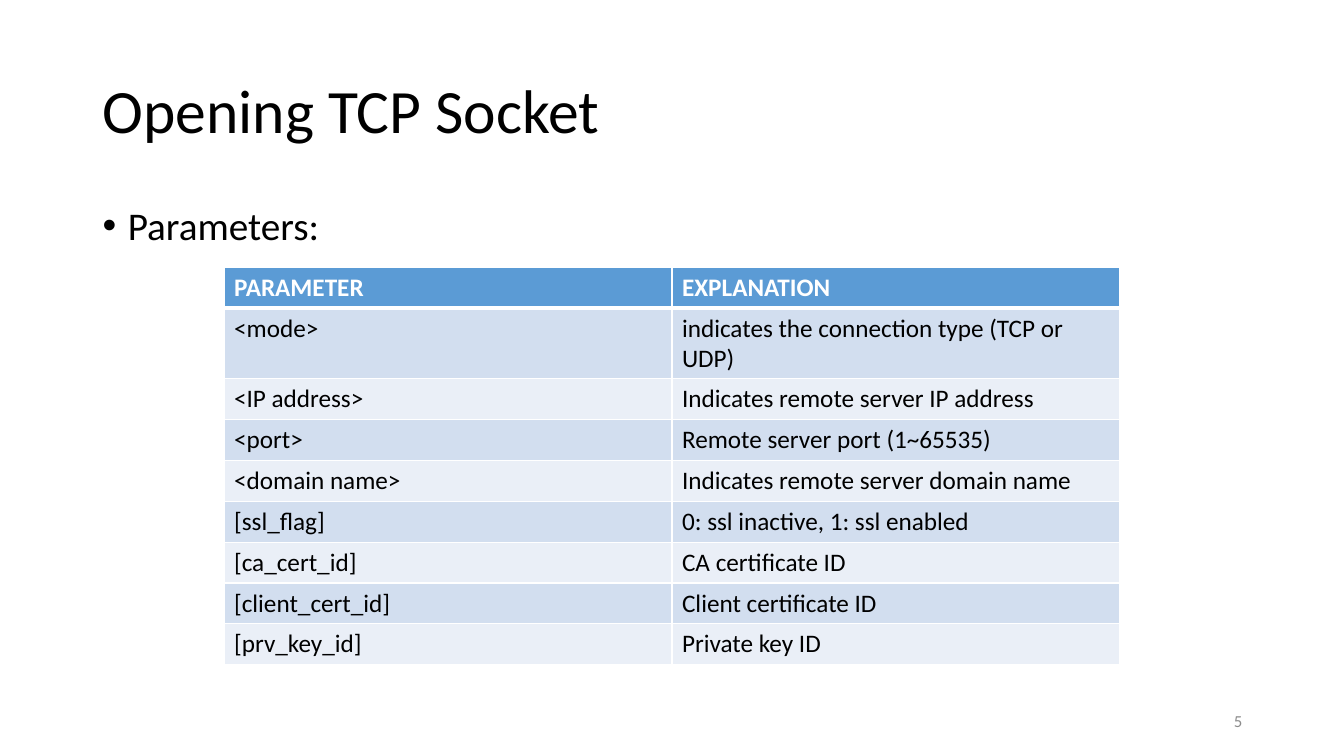
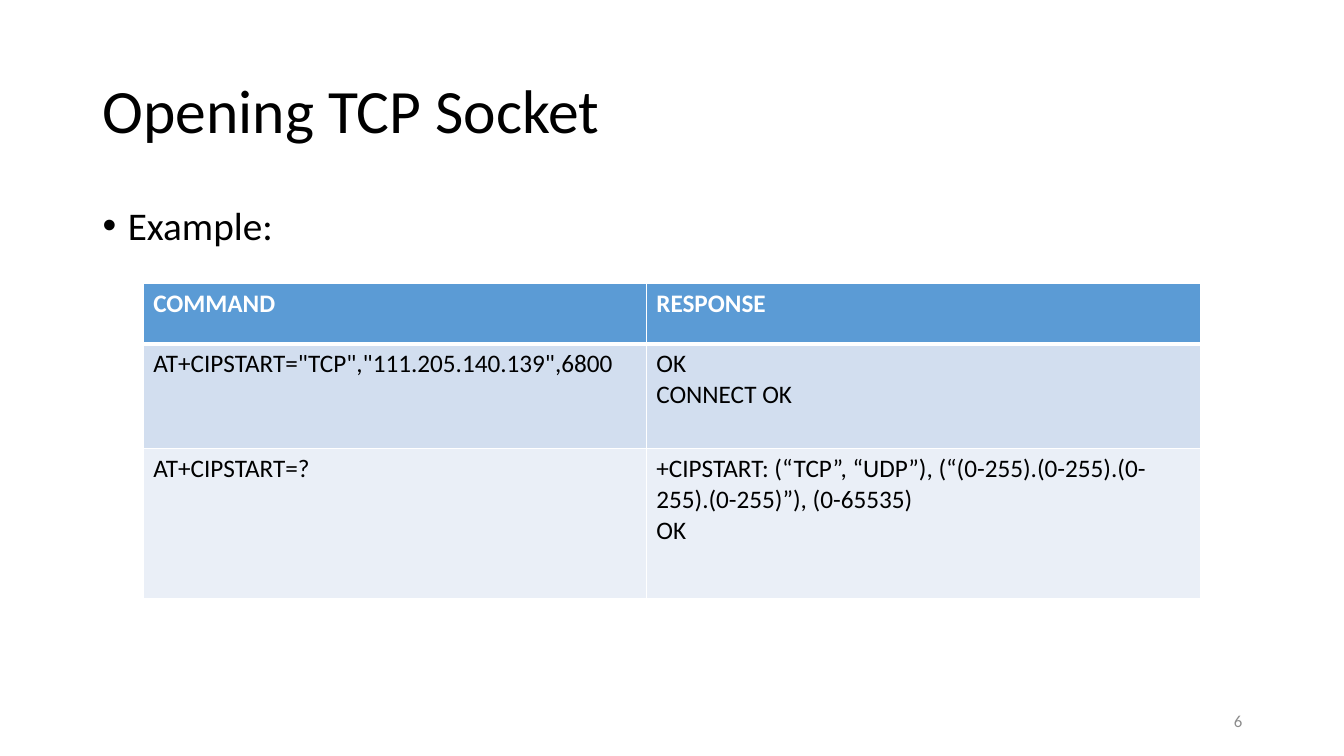
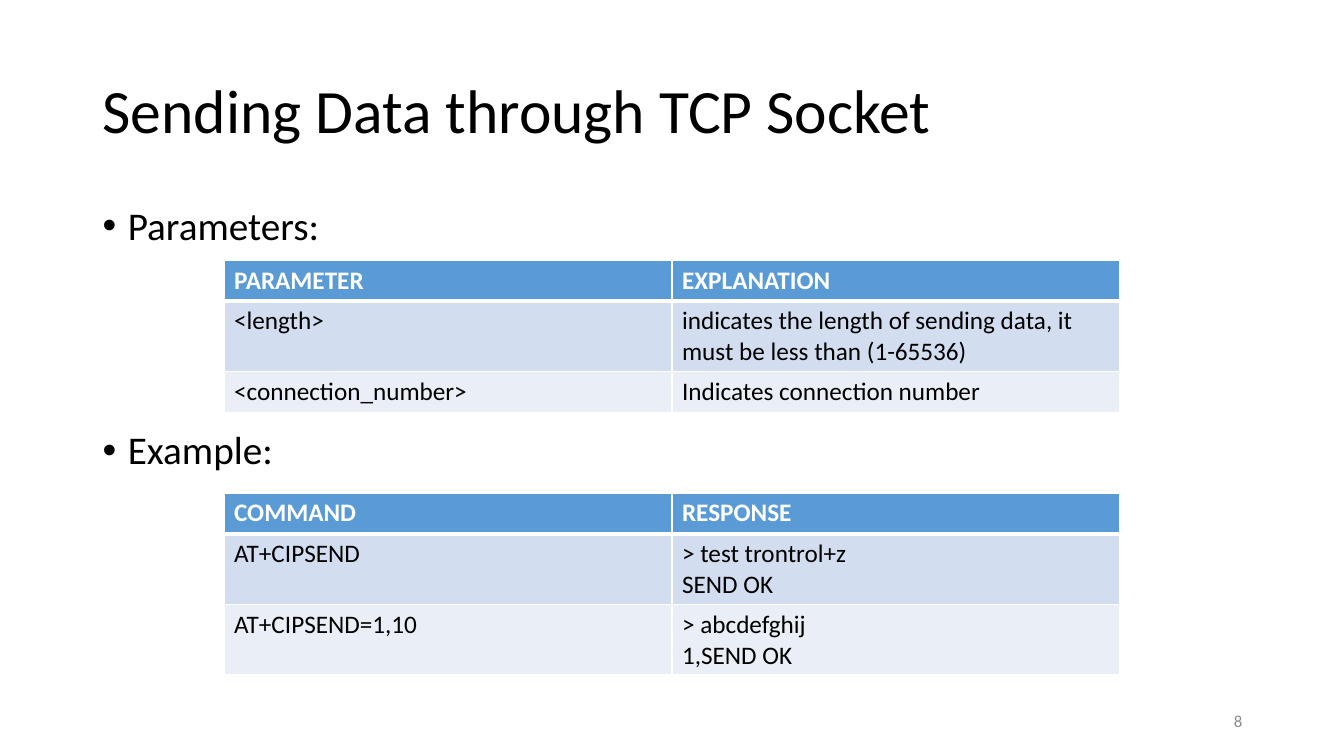
from lxml import etree
from pptx import Presentation
from pptx.dml.color import RGBColor
from pptx.enum.text import MSO_ANCHOR, PP_ALIGN
from pptx.oxml.ns import qn
from pptx.util import Inches, Pt

MIDDLE, TOP = MSO_ANCHOR.MIDDLE, MSO_ANCHOR.TOP
LEFT, RIGHT = PP_ALIGN.LEFT, PP_ALIGN.RIGHT

SLIDE_W, SLIDE_H = 13.33, 7.5
MARGIN = 0.92
CONTENT_W = 11.5
TABLE_LEFT, TABLE_W = SLIDE_W / 6, SLIDE_W * 2 / 3
HALVES = (TABLE_W / 2, TABLE_W / 2)
ONE_LINE, TWO_LINES = 29.2 / 72, 0.7  # row heights

COLORS = {
    "text": "000000",
    "number": "8C8C8C",
    "header": "5B9BD5",
    "band_dark": "D2DEEF",
    "band_light": "EAEFF7",
    "white": "FFFFFF",
}

FONTS = {
    "title": {"size": Pt(44), "bold": False, "color": "text"},
    "bullet": {"size": Pt(28), "bold": False, "color": "text"},
    "number": {"size": Pt(12), "bold": False, "color": "number"},
    "header": {"size": Pt(18), "bold": True, "color": "white"},
    "cell": {"size": Pt(18), "bold": False, "color": "text"},
}

PARAMETER_HEADS = ("PARAMETER", "EXPLANATION")
EXAMPLE_HEADS = ("COMMAND", "RESPONSE")

OPEN_PARAMETERS = [
    PARAMETER_HEADS,
    ("<mode>", "indicates the connection type (TCP or UDP)"),
    ("<IP address>", "Indicates remote server IP address"),
    ("<port>", "Remote server port (1~65535)"),
    ("<domain name>", "Indicates remote server domain name"),
    ("[ssl_flag]", "0: ssl inactive, 1: ssl enabled"),
    ("[ca_cert_id]", "CA certificate ID"),
    ("[client_cert_id]", "Client certificate ID"),
    ("[prv_key_id]", "Private key ID"),
]
OPEN_EXAMPLES = [
    EXAMPLE_HEADS,
    ('AT+CIPSTART="TCP","111.205.140.139",6800', "OK\nCONNECT OK"),
    ("AT+CIPSTART=?",
     "+CIPSTART: (“TCP”, “UDP”), (“(0-255).(0-255).(0-255).(0-255)”), (0-65535)\nOK"),
]
SEND_PARAMETERS = [
    PARAMETER_HEADS,
    ("<length>", "indicates the length of sending data, it must be less than (1-65536)"),
    ("<connection_number>", "Indicates connection number"),
]
SEND_EXAMPLES = [
    EXAMPLE_HEADS,
    ("AT+CIPSEND", "> test trontrol+z\nSEND OK"),
    ("AT+CIPSEND=1,10", "> abcdefghij\n1,SEND OK"),
]


def style_text(frame, role, **paragraph_format):
    for paragraph in frame.paragraphs:
        for name, value in paragraph_format.items():
            setattr(paragraph, name, value)
        for run in paragraph.runs:
            run.font.name = "Calibri"
            for name, value in FONTS[role].items():
                if name == "color":
                    run.font.color.rgb = RGBColor.from_string(COLORS[value])
                else:
                    setattr(run.font, name, value)


def add_text(slide, box, text, role, anchor=MIDDLE, **paragraph_format):
    frame = slide.shapes.add_textbox(*map(Inches, box)).text_frame
    frame.word_wrap = True
    frame.vertical_anchor = anchor
    frame.text = text
    style_text(frame, role, **paragraph_format)
    return frame


def add_bullets(slide, labels, gap=10):
    """Write the section labels, with gap points above each one after the first."""
    frame = add_text(slide, (MARGIN, 2, CONTENT_W, 4.76), "\n".join(labels),
                     "bullet", TOP, line_spacing=0.9, space_before=Pt(10))
    for paragraph in frame.paragraphs[1:]:
        paragraph.space_before = Pt(gap)
    for paragraph in frame.paragraphs:
        properties = paragraph._p.get_or_add_pPr()
        properties.set("marL", str(Inches(0.25)))
        properties.set("indent", str(-Inches(0.25)))
        etree.SubElement(properties, qn("a:buFont"), typeface="Arial")
        etree.SubElement(properties, qn("a:buChar"), char="•")


def add_borders(cell, top, bottom):
    """Draw white cell edges; top and bottom are widths in points."""
    properties = cell._tc.get_or_add_tcPr()
    for side, width in (("L", 1), ("R", 1), ("T", top), ("B", bottom)):
        line = etree.SubElement(properties, qn(f"a:ln{side}"), w=str(Pt(width)))
        fill = etree.SubElement(line, qn("a:solidFill"))
        etree.SubElement(fill, qn("a:srgbClr"), val=COLORS["white"])


def add_banded_table(slide, left, top, widths, heights, rows):
    table = slide.shapes.add_table(
        len(rows), len(widths),
        *map(Inches, (left, top, sum(widths), sum(heights)))).table
    for column, width in zip(table.columns, widths):
        column.width = Inches(width)
    for r, (values, height) in enumerate(zip(rows, heights)):
        table.rows[r].height = Inches(height)
        band = "header" if r == 0 else "band_dark" if r % 2 else "band_light"
        for c, value in enumerate(values):
            cell = table.cell(r, c)
            cell.text_frame.text = value
            style_text(cell.text_frame, "header" if r == 0 else "cell", alignment=LEFT)
            add_borders(cell, top=3 if r == 1 else 1, bottom=3 if r == 0 else 1)
            cell.fill.solid()
            cell.fill.fore_color.rgb = RGBColor.from_string(COLORS[band])


def add_slide(deck, title, number):
    slide = deck.slides.add_slide(deck.slide_layouts[6])
    add_text(slide, (MARGIN, 0.4, CONTENT_W, 1.45), title, "title", line_spacing=0.9)
    add_text(slide, (MARGIN + CONTENT_W - 3, 6.95, 3, 0.4), str(number), "number",
             alignment=RIGHT)
    return slide


def main():
    deck = Presentation()
    deck.slide_width, deck.slide_height = Inches(SLIDE_W), Inches(SLIDE_H)

    slide = add_slide(deck, "Opening TCP Socket", 5)
    add_bullets(slide, ["Parameters:"])
    add_banded_table(slide, TABLE_LEFT, 2.65, HALVES,
                     [ONE_LINE, TWO_LINES] + [ONE_LINE] * 7, OPEN_PARAMETERS)

    slide = add_slide(deck, "Opening TCP Socket", 6)
    add_bullets(slide, ["Example:"])
    add_banded_table(slide, 1.42, 2.81, (4.99, 5.5), (0.6, 1.04, 1.49), OPEN_EXAMPLES)

    slide = add_slide(deck, "Sending Data through TCP Socket", 8)
    add_bullets(slide, ["Parameters:", "Example:"], gap=130)
    add_banded_table(slide, TABLE_LEFT, 2.58, HALVES,
                     (ONE_LINE, TWO_LINES, ONE_LINE), SEND_PARAMETERS)
    add_banded_table(slide, TABLE_LEFT, 4.89, HALVES,
                     (ONE_LINE, TWO_LINES, TWO_LINES), SEND_EXAMPLES)

    deck.save("out.pptx")


if __name__ == "__main__":
    main()
